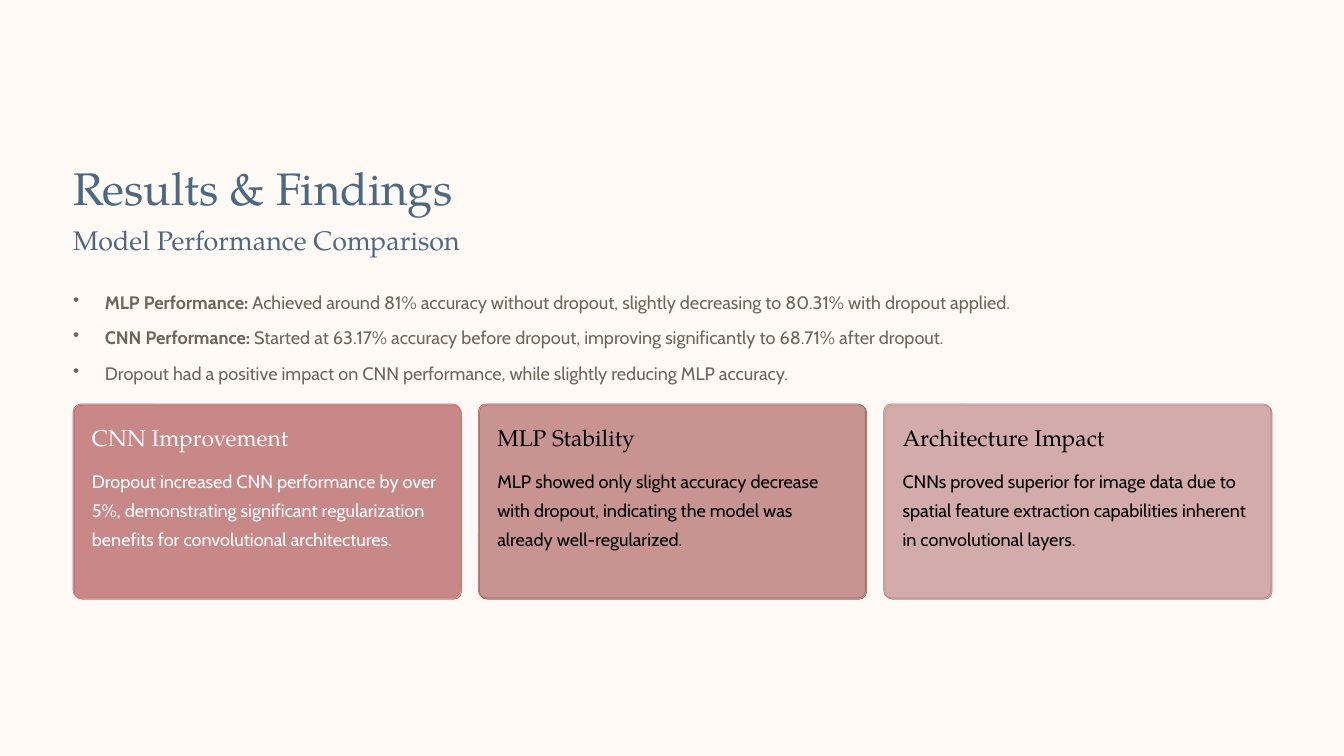
from dataclasses import dataclass

from lxml.etree import SubElement
from pptx import Presentation
from pptx.dml.color import RGBColor
from pptx.enum.shapes import MSO_SHAPE
from pptx.oxml.ns import qn
from pptx.util import Inches, Pt


@dataclass(frozen=True)
class Theme:
    heading_font: str = "TeX Gyre Pagella"
    body_font: str = "Cabin"
    background: str = "FFFAF6"
    heading: str = "4B6981"
    body: str = "6F655D"
    light: str = "FFFFFF"
    dark: str = "000000"
    # Each size is paired with its exact line spacing, in points
    title_size: tuple = (39, 48.5)
    subtitle_size: tuple = (23, 29)
    card_title_size: tuple = (19.5, 24)
    body_size: tuple = (15.5, 25)
    bullet_gap: float = 5.25
    card_line: float = 0.6
    shadow_distance: float = 1.4


THEME = Theme()

FINDINGS = [
    ("MLP Performance:", " Achieved around 81% accuracy without dropout, "
     "slightly decreasing to 80.31% with dropout applied."),
    ("CNN Performance:", " Started at 63.17% accuracy before dropout, "
     "improving significantly to 68.71% after dropout."),
    ("", "Dropout had a positive impact on CNN performance, "
     "while slightly reducing MLP accuracy."),
]

# Title, text, fill, outline, text colour
CARDS = [
    ("CNN Improvement",
     "Dropout increased CNN performance by over 5%, demonstrating significant "
     "regularization benefits for convolutional architectures.",
     "B05B5C", "C97475", THEME.light),
    ("MLP Stability",
     "MLP showed only slight accuracy decrease with dropout, "
     "indicating the model was already well-regularized.",
     "BE7C7B", "A46261", THEME.dark),
    ("Architecture Impact",
     "CNNs proved superior for image data due to spatial feature extraction "
     "capabilities inherent in convolutional layers.",
     "CE9B9B", "B48181", THEME.dark),
]


def add_frame(slide, left, top, width, height):
    """Add a wrapping text box without margins and return its text frame."""
    box = slide.shapes.add_textbox(
        Inches(left), Inches(top), Inches(width), Inches(height))
    frame = box.text_frame
    frame.word_wrap = True
    frame.margin_left = frame.margin_top = 0
    frame.margin_right = frame.margin_bottom = 0
    return frame


def style_paragraph(paragraph, font_name, size, color):
    points, spacing = size
    paragraph.line_spacing = Pt(spacing)
    paragraph.font.name = font_name
    paragraph.font.size = Pt(points)
    paragraph.font.color.rgb = RGBColor.from_string(color)


def add_text(slide, left, top, width, height, text, font_name, size, color):
    paragraph = add_frame(slide, left, top, width, height).paragraphs[0]
    paragraph.text = text
    style_paragraph(paragraph, font_name, size, color)


def add_bullet(paragraph, indent):
    properties = paragraph._p.get_or_add_pPr()
    properties.set("marL", str(Inches(indent)))
    properties.set("indent", str(-Inches(indent)))
    SubElement(properties, qn("a:buChar")).set("char", "•")


def add_header(slide, left, top, width):
    add_text(slide, left, top, width, 0.68, "Results & Findings",
             THEME.heading_font, THEME.title_size, THEME.heading)
    add_text(slide, left, top + 0.76, width, 0.41, "Model Performance Comparison",
             THEME.heading_font, THEME.subtitle_size, THEME.heading)


def add_findings(slide, left, top, width, height):
    frame = add_frame(slide, left, top, width, height)
    for index, (label, detail) in enumerate(FINDINGS):
        paragraph = frame.add_paragraph() if index else frame.paragraphs[0]
        add_bullet(paragraph, 0.38)
        style_paragraph(paragraph, THEME.body_font, THEME.body_size, THEME.body)
        if index:
            paragraph.space_before = Pt(THEME.bullet_gap)
        if label:
            label_run = paragraph.add_run()
            label_run.text = label
            label_run.font.bold = True
        paragraph.add_run().text = detail


def add_shadow(shape, color):
    """Give the shape a hard-edged shadow towards the lower right."""
    shape.shadow.inherit = False
    effects = shape._element.spPr.find(qn("a:effectLst"))
    shadow = SubElement(effects, qn("a:outerShdw"), blurRad="0",
                        dist=str(Pt(THEME.shadow_distance)),
                        dir=str(45 * 60000), algn="tl", rotWithShape="0")
    SubElement(shadow, qn("a:srgbClr"), val=color)


def add_card(slide, left, top, width, height, card):
    title, text, fill, outline, text_color = card
    shape = slide.shapes.add_shape(
        MSO_SHAPE.ROUNDED_RECTANGLE,
        Inches(left), Inches(top), Inches(width), Inches(height))
    shape.adjustments[0] = 0.039
    shape.fill.solid()
    shape.fill.fore_color.rgb = RGBColor.from_string(fill)
    fill_color = shape._element.spPr.find(qn("a:solidFill"))[0]
    SubElement(fill_color, qn("a:alpha"), val="50000")
    shape.line.color.rgb = RGBColor.from_string(outline)
    shape.line.width = Pt(THEME.card_line)
    add_shadow(shape, outline)

    inset = 0.225
    inner_width = width - 2 * inset
    add_text(slide, left + inset, top + 0.23, inner_width, 0.34, title,
             THEME.heading_font, THEME.card_title_size, text_color)
    add_text(slide, left + inset, top + 0.7, inner_width, 1.39, text,
             THEME.body_font, THEME.body_size, text_color)


def add_cards(slide, left, top, width, height):
    gap = 0.215
    card_width = (width - gap * (len(CARDS) - 1)) / len(CARDS)
    for index, card in enumerate(CARDS):
        add_card(slide, left + index * (card_width + gap), top,
                 card_width, height, card)


def add_results_slide(presentation):
    slide = presentation.slides.add_slide(presentation.slide_layouts[6])
    background = slide.background.fill
    background.solid()
    background.fore_color.rgb = RGBColor.from_string(THEME.background)
    left, width = 0.87, 14.26
    add_header(slide, left, 1.88, width)
    add_findings(slide, left, 3.38, width, 1.19)
    add_cards(slide, left, 4.81, width, 2.31)


def main():
    presentation = Presentation()
    presentation.slide_width = Inches(16)
    presentation.slide_height = Inches(9)
    add_results_slide(presentation)
    presentation.save("out.pptx")


if __name__ == "__main__":
    main()
